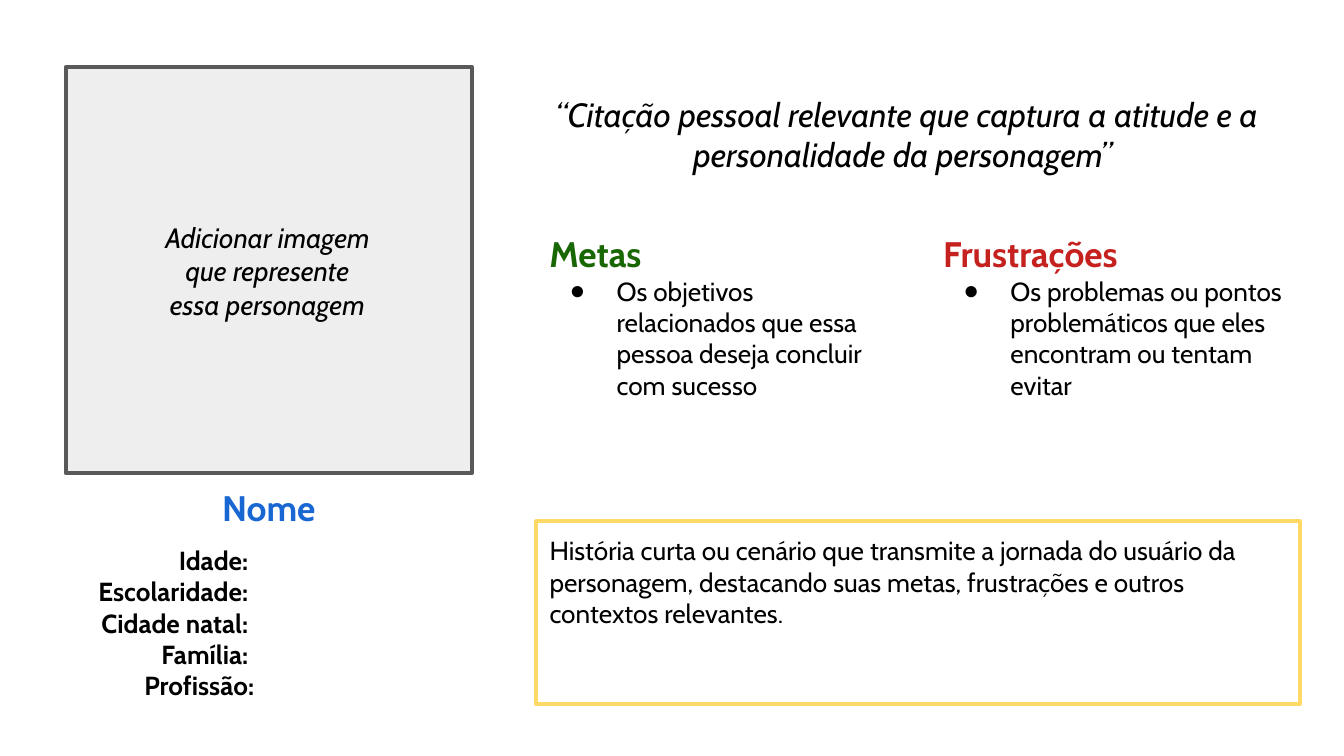
from pptx import Presentation
from pptx.dml.color import RGBColor
from pptx.enum.shapes import MSO_SHAPE
from pptx.enum.text import MSO_ANCHOR, PP_ALIGN
from pptx.oxml import parse_xml
from pptx.oxml.ns import nsdecls
from pptx.util import Inches, Pt

RECT = MSO_SHAPE.RECTANGLE
TOP, MIDDLE = MSO_ANCHOR.TOP, MSO_ANCHOR.MIDDLE
LEFT, CENTER, RIGHT = PP_ALIGN.LEFT, PP_ALIGN.CENTER, PP_ALIGN.RIGHT
FONT = "Cabin"
BULLET_FONT = "Arial"
BLACK = "000000"


def rgb(color):
    return RGBColor.from_string(color)


def set_font(font, size, color=BLACK, bold=False, italic=False):
    font.name = FONT
    font.size = Pt(size)
    font.color.rgb = rgb(color)
    font.bold = bold
    font.italic = italic


def set_frame(sp, anchor=TOP):
    tf = sp.text_frame
    tf.word_wrap = True
    tf.vertical_anchor = anchor
    tf.margin_left = tf.margin_right = Inches(0.1)
    tf.margin_top = tf.margin_bottom = Inches(0.1)
    return tf


def write(tf, lines, size, align=LEFT, **style):
    for i, line in enumerate(lines):
        p = tf.paragraphs[0] if i == 0 else tf.add_paragraph()
        p.text = line
        p.alignment = align
        set_font(p.font, size, **style)


def add_box(s, box, line, fill=None):
    sp = s.shapes.add_shape(RECT, *map(Inches, box))
    sp.shadow.inherit = False
    if fill:
        sp.fill.solid()
        sp.fill.fore_color.rgb = rgb(fill)
    else:
        sp.fill.background()
    sp.line.color.rgb = rgb(line)
    sp.line.width = Pt(2.25)
    return sp


def add_text(s, box, lines, size, align=LEFT, anchor=TOP, **style):
    sp = s.shapes.add_textbox(*map(Inches, box))
    write(set_frame(sp, anchor), lines, size, align, **style)
    return sp


def add_bullet(p):
    pPr = p._p.get_or_add_pPr()
    pPr.set("marL", str(Inches(0.5)))
    pPr.set("indent", str(-Inches(0.35)))
    ns = nsdecls("a")
    bullet = (
        f'<a:buClr {ns}><a:srgbClr val="{BLACK}"/></a:buClr>',
        f'<a:buFont {ns} typeface="{BULLET_FONT}"/>',
        f'<a:buChar {ns} char="●"/>',
    )
    for i, xml in enumerate(bullet):
        pPr.insert(i, parse_xml(xml))


def add_topic(s, left, heading, color, item):
    sp = add_text(s, (left, 1.63, 2.76, 2.11), [heading], 19, color=color, bold=True)
    tf = sp.text_frame
    r = tf.paragraphs[0].add_run()
    r.text = " "
    set_font(r.font, 18)
    p = tf.add_paragraph()
    p.text = item
    set_font(p.font, 14)
    add_bullet(p)


def main():
    prs = Presentation()
    prs.slide_width = Inches(10)
    prs.slide_height = prs.slide_width * 9 // 16
    s = prs.slides.add_slide(prs.slide_layouts[6])

    # Portrait area
    add_box(s, (0.49, 0.5, 3.02, 3.02), "595959", fill="EEEEEE")

    # Name and personal details
    add_text(s, (0.49, 3.52, 3.02, 0.52), ["Nome"], 19, CENTER,
             color="1967D2", bold=True)
    details = ["Idade: ", "Escolaridade: ", "Cidade natal: ", "Família: ", "Profissão:"]
    add_text(s, (0.35, 3.95, 1.64, 1.33), details, 14, RIGHT, bold=True)

    # Quote
    add_text(s, (3.99, 0.5, 5.51, 0.99),
             ["“Citação pessoal relevante que captura a atitude e a "
              "personalidade da personagem” "],
             18, CENTER, MIDDLE, italic=True)

    # Goals and frustrations
    add_topic(s, 3.99, "Metas", "196702",
              "Os objetivos relacionados que essa pessoa deseja concluir com sucesso")
    add_topic(s, 6.92, "Frustrações", "C5221F",
              "Os problemas ou pontos problemáticos que eles encontram ou tentam evitar")

    # Story
    story = add_box(s, (3.99, 3.88, 5.68, 1.36), "FFD966")
    write(set_frame(story),
          ["História curta ou cenário que transmite a jornada do usuário da "
           "personagem, destacando suas metas, frustrações e outros "
           "contextos relevantes."], 14)

    # Hint over the portrait area
    add_text(s, (1.08, 1.58, 1.82, 0.87),
             ["Adicionar imagem que represente essa personagem"],
             15, CENTER, MIDDLE, italic=True)

    prs.save("out.pptx")


if __name__ == "__main__":
    main()
